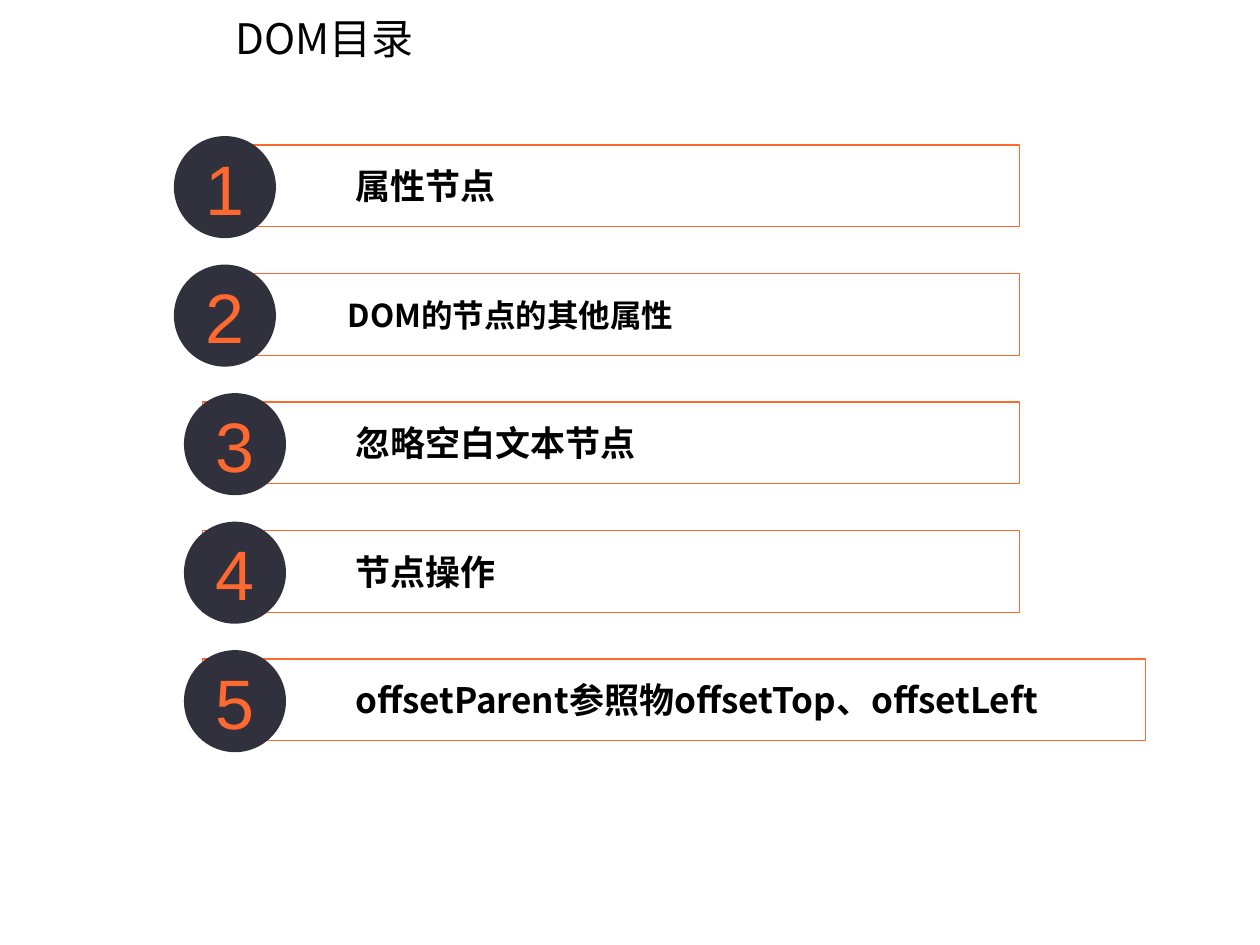
from lxml.etree import SubElement
from pptx import Presentation
from pptx.dml.color import RGBColor
from pptx.enum.shapes import MSO_SHAPE as Shape
from pptx.enum.text import MSO_ANCHOR as Anchor, PP_ALIGN as Align
from pptx.oxml.ns import qn
from pptx.util import Inches, Pt

COLORS = {"text": "000000", "bar": "FFFFFF", "accent": "FF682F", "disc": "30313C"}
CJK, LATIN = "Noto Sans CJK SC", "Arial"

# Row grid, in inches
TOP, STEP = 1.15, 1.02
BAR_X, BAR_H = 1.61, 0.65
DISC, RISE = 0.81, 0.07

# Label, text size, text indent, bar width, disc left
ROWS = [
    ("属性节点", 20, 0.56, 6.48, 1.38),
    ("DOM的节点的其他属性", 18, 0.5, 6.48, 1.38),
    ("忽略空白文本节点", 20, 0.56, 6.48, 1.46),
    ("节点操作", 20, 0.56, 6.48, 1.46),
    ("offsetParent参照物offsetTop、offsetLeft", 20, 0.56, 7.48, 1.46),
]


def color(name):
    return RGBColor.from_string(COLORS[name])


def write(shape, text, size, font, tint="text", bold=False):
    para = shape.text_frame.paragraphs[0]
    para.text = text
    for run in para.runs:
        run.font.size = Pt(size)
        run.font.name = font
        run.font.bold = bold
        run.font.color.rgb = color(tint)
        SubElement(run.font._element, qn("a:ea")).set("typeface", font)
    return para


def inset(frame, left, top, right, bottom):
    frame.margin_left, frame.margin_top = Inches(left), Inches(top)
    frame.margin_right, frame.margin_bottom = Inches(right), Inches(bottom)
    frame.word_wrap = True


def block(slide, kind, x, y, w, h, fill):
    shape = slide.shapes.add_shape(kind, Inches(x), Inches(y), Inches(w), Inches(h))
    shape.shadow.inherit = False
    shape.fill.solid()
    shape.fill.fore_color.rgb = color(fill)
    shape.text_frame.vertical_anchor = Anchor.MIDDLE
    return shape


def title(slide, text):
    box = slide.shapes.add_textbox(Inches(1.77), Inches(0.05), Inches(4.02), Inches(0.5))
    inset(box.text_frame, 0.1, 0.05, 0.1, 0.05)
    write(box, text, 24, CJK)


def bar(slide, y, width, text, size, indent):
    shape = block(slide, Shape.RECTANGLE, BAR_X, y, width, BAR_H, "bar")
    # Let the background show through the fill
    tint = shape.fill._xPr.find(qn("a:solidFill"))[0]
    SubElement(tint, qn("a:alpha")).set("val", "40000")
    shape.line.color.rgb = color("accent")
    shape.line.width = Pt(0.75)
    inset(shape.text_frame, 0.65, 0.08, 0.08, 0.08)
    para = write(shape, text, size, CJK, bold=True)
    para.alignment = Align.LEFT
    para.level = 1
    props = para._p.get_or_add_pPr()
    props.set("marL", str(Inches(indent)))
    props.set("indent", "0")


def disc(slide, x, y, number):
    shape = block(slide, Shape.OVAL, x, y, DISC, DISC, "disc")
    shape.line.fill.background()
    inset(shape.text_frame, 0.1, 0.05, 0.1, 0.05)
    write(shape, str(number), 40, LATIN, "accent").alignment = Align.CENTER


def main():
    deck = Presentation()
    deck.slide_width, deck.slide_height = Inches(10), Inches(7.5)
    slide = deck.slides.add_slide(deck.slide_layouts[6])

    title(slide, "DOM目录")

    # Numbered contents
    for i, (text, size, indent, width, left) in enumerate(ROWS):
        y = TOP + i * STEP
        bar(slide, y, width, text, size, indent)
        disc(slide, left, y - RISE, i + 1)

    deck.save("out.pptx")


if __name__ == "__main__":
    main()
